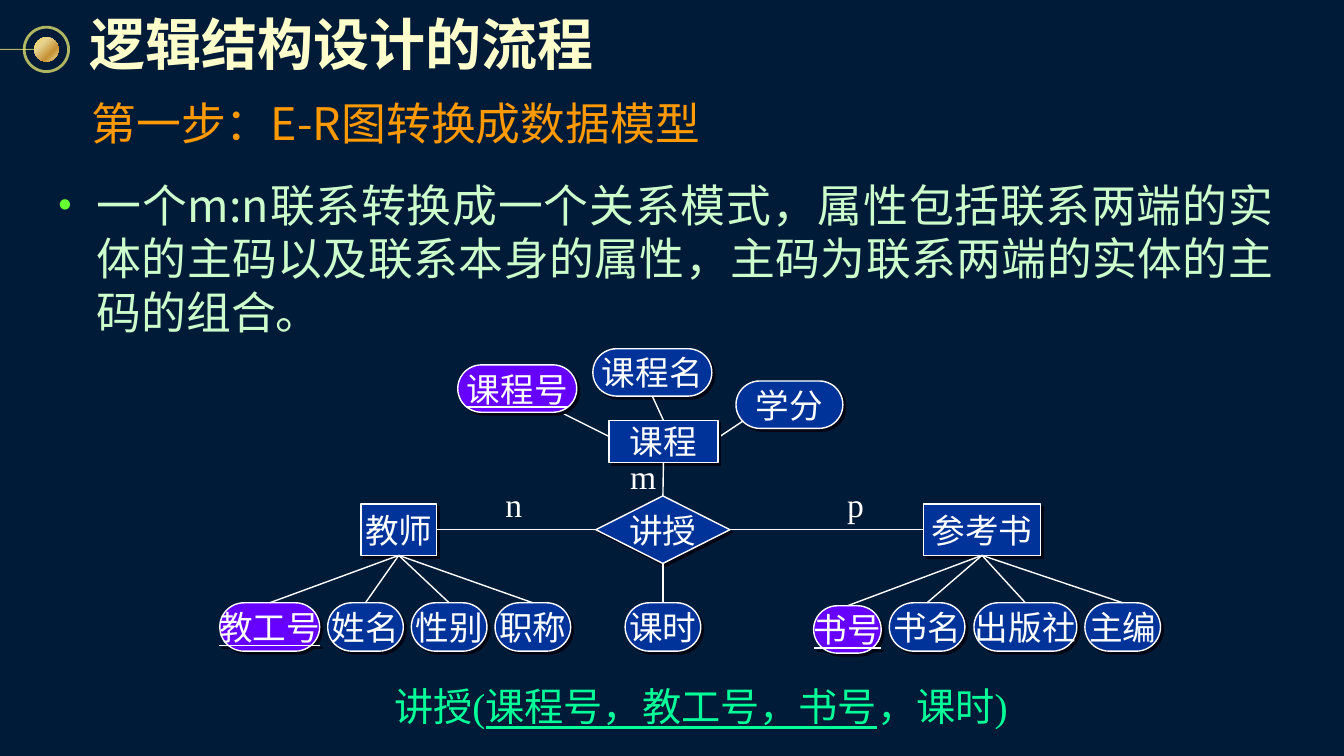
from dataclasses import dataclass

import pptx
import pptx.dml.color
import pptx.enum.dml
import pptx.enum.shapes
import pptx.enum.text
import pptx.oxml
import pptx.oxml.ns
import pptx.util
from pptx.util import Inches

SHAPE = pptx.enum.shapes.MSO_SHAPE
ALIGN = pptx.enum.text.PP_ALIGN
ANCHOR = pptx.enum.text.MSO_ANCHOR
STRAIGHT = pptx.enum.shapes.MSO_CONNECTOR.STRAIGHT
TOP, LEFT, BOTTOM, RIGHT = range(4)
NS = pptx.oxml.ns.nsdecls("a")
SERIF, SANS = "Times New Roman", "Noto Sans CJK SC"
WHITE, BLUE, VIOLET, GOLD = "FFFFFF", "003399", "6600FF", "FCF873"
SHADOW = (f'<a:effectLst {NS}><a:outerShdw dist="35560" dir="2700000" algn="ctr" '
          'rotWithShape="0"><a:srgbClr val="000514"/></a:outerShdw></a:effectLst>')


@dataclass
class Node:
    label: str
    left: float
    top: float
    width: float
    height: float = 0.48
    kind: int = SHAPE.ROUNDED_RECTANGLE
    key: bool = False


@dataclass
class Caption:
    left: float
    top: float
    width: float
    height: float
    texts: tuple
    size: int
    font: str
    color: str
    inset: tuple = (0.0, 0.0)
    wrap: bool = True


def rgb(code: str):
    return pptx.dml.color.RGBColor.from_string(code)


def append_xml(parent, xml: str) -> None:
    parent.append(pptx.oxml.parse_xml(xml))


def style_run(run, size: int, font: str, color: str) -> None:
    run.font.size = pptx.util.Pt(size)
    run.font.name = font
    run.font.color.rgb = rgb(color)
    append_xml(run.font._element, f'<a:ea {NS} typeface="{SANS}"/>')


def set_insets(frame, across: float, down: float) -> None:
    frame.margin_left = frame.margin_right = Inches(across)
    frame.margin_top = frame.margin_bottom = Inches(down)


def set_line(line, color: str, width: float, alpha: int = 100) -> None:
    line.color.rgb = rgb(color)
    line.width = pptx.util.Pt(width)
    if alpha < 100:
        tint = line._ln.find(".//" + pptx.oxml.ns.qn("a:srgbClr"))
        append_xml(tint, f'<a:alpha {NS} val="{alpha * 1000}"/>')


def add_caption(slide, spec_: Caption):
    box = slide.shapes.add_textbox(*map(Inches, (spec_.left, spec_.top, spec_.width, spec_.height)))
    frame = box.text_frame
    frame.word_wrap = spec_.wrap
    set_insets(frame, *spec_.inset)
    for text in spec_.texts:
        run = frame.paragraphs[0].add_run()
        run.text = text
        style_run(run, spec_.size, spec_.font, spec_.color)
    return frame


def add_node(slide, node: Node):
    shape = slide.shapes.add_shape(
        node.kind, *map(Inches, (node.left, node.top, node.width, node.height)))
    if node.kind == SHAPE.ROUNDED_RECTANGLE:
        shape.adjustments[0] = 0.5
    shape.fill.solid()
    shape.fill.fore_color.rgb = rgb(VIOLET if node.key else BLUE)
    set_line(shape.line, WHITE, 1)
    append_xml(shape._element.spPr, SHADOW)
    frame = shape.text_frame
    frame.text = node.label
    frame.word_wrap = False
    frame.vertical_anchor = ANCHOR.MIDDLE
    set_insets(frame, 0, 0)
    frame.paragraphs[0].alignment = ALIGN.CENTER
    run = frame.paragraphs[0].runs[0]
    style_run(run, 24, SERIF, WHITE)
    if node.key:
        run.font.underline = True
    return shape


def add_line(slide, x1=0.0, y1=0.0, x2=0.0, y2=0.0, color=WHITE, width=1.0, alpha=100):
    line = slide.shapes.add_connector(STRAIGHT, *map(Inches, (x1, y1, x2, y2)))
    set_line(line.line, color, width, alpha)
    append_xml(line._element.spPr, f"<a:effectLst {NS}/>")
    return line


def join(slide, start, start_side: int, end, end_side: int) -> None:
    line = add_line(slide)
    line.begin_connect(start, start_side)
    line.end_connect(end, end_side)


def add_emblem(slide) -> None:
    ring = slide.shapes.add_shape(SHAPE.OVAL, *map(Inches, (0.24, 0.27, 0.44, 0.44)))
    ring.shadow.inherit = False
    ring.fill.background()
    set_line(ring.line, GOLD, 2, 70)
    add_line(slide, 0, 0.49, 0.34, 0.49, GOLD, 0.75, 70)
    bead = slide.shapes.add_shape(SHAPE.OVAL, *map(Inches, (0.34, 0.37, 0.24, 0.24)))
    bead.shadow.inherit = False
    bead.line.fill.background()
    stops = ((0, "FCD860"), (31, "E6D38F"), (68, "C69135"), (100, "F1DF97"))
    gradient = "".join(f'<a:gs pos="{at * 1000}"><a:srgbClr val="{color}"/></a:gs>'
                       for at, color in stops)
    geometry = bead._element.spPr.find(pptx.oxml.ns.qn("a:prstGeom"))
    geometry.addnext(pptx.oxml.parse_xml(
        f'<a:gradFill {NS} rotWithShape="1"><a:gsLst>{gradient}</a:gsLst>'
        '<a:lin ang="2700000" scaled="0"/></a:gradFill>'))


def add_headings(slide) -> None:
    title = add_caption(slide, Caption(0.81, 0.01, 5.21, 0.83, ("逻辑结构设计的流程",), 40,
                                       "Arial", "FFFFCC", (0.08, 0.08), False))
    title.vertical_anchor = ANCHOR.MIDDLE
    heading = title.paragraphs[0].runs[0].font
    heading.bold = True
    heading._element.find(pptx.oxml.ns.qn("a:solidFill")).addnext(pptx.oxml.parse_xml(SHADOW))

    add_caption(slide, Caption(0.81, 0.9, 9.8, 0.64, ("第一步：E-R图转换成数据模型",), 32,
                               SANS, "FF9900", (0.1, 0.05)))

    rule = add_caption(slide, Caption(
        0.48, 1.71, 12.25, 1.26,
        ("一个m:n联系转换成一个关系模式，属性包括联系两端的实体的主码以及联系本身的属性，"
         "主码为联系两端的实体的主码的组合。",), 32, SANS, "CCFFCC", (0.1, 0.05))).paragraphs[0]
    rule.alignment = ALIGN.JUSTIFY
    props = rule._p.get_or_add_pPr()
    props.set("marL", str(Inches(0.38)))
    props.set("indent", str(Inches(-0.38)))
    for bullet in ('<a:buClr {}><a:srgbClr val="66FF33"/></a:buClr>', '<a:buSzPct {} val="85000"/>',
                   '<a:buFont {} typeface="Arial"/>', '<a:buChar {} char="•"/>'):
        append_xml(props, bullet.format(NS))


def add_diagram(slide) -> None:
    # Lines that meet the course entity away from its side middles
    add_line(slide, 5.56, 4.09, 6.04, 4.33)
    add_line(slide, 7.14, 4.33, 7.38, 4.17)

    # Entities and relationship
    course = add_node(slide, Node("课程", 6.04, 4.17, 1.08, 0.42, SHAPE.RECTANGLE))
    teacher = add_node(slide, Node("教师", 3.58, 5, 0.75, 0.51, SHAPE.RECTANGLE))
    book = add_node(slide, Node("参考书", 9.16, 5, 1.16, 0.51, SHAPE.RECTANGLE))
    teaching = add_node(slide, Node("讲授", 5.91, 4.92, 1.33, 0.67, SHAPE.DIAMOND))
    join(slide, course, BOTTOM, teaching, TOP)
    join(slide, teaching, LEFT, teacher, RIGHT)
    join(slide, teaching, RIGHT, book, LEFT)

    # Course attributes
    add_node(slide, Node("课程号", 4.54, 3.62, 1.18, 0.47, key=True))
    course_name = add_node(slide, Node("课程名", 5.88, 3.46, 1.18, 0.47))
    add_node(slide, Node("学分", 7.3, 3.78, 1.06, 0.47))
    join(slide, course_name, BOTTOM, course, TOP)

    # Attributes below their owners
    attributes = (
        (teacher, (Node("教工号", 2.18, 5.98, 0.99, key=True), Node("姓名", 3.25, 5.98, 0.75),
                   Node("性别", 4.08, 5.98, 0.75), Node("职称", 4.91, 5.98, 0.75))),
        (teaching, (Node("课时", 6.2, 5.98, 0.75),)),
        (book, (Node("书号", 8.07, 6.01, 0.67, 0.47, key=True), Node("书名", 8.82, 5.98, 0.75),
                Node("出版社", 9.66, 5.98, 1.02), Node("主编", 10.76, 5.98, 0.75))),
    )
    for owner, nodes in attributes:
        for node in nodes:
            join(slide, owner, BOTTOM, add_node(slide, node), TOP)

    # Cardinalities
    for letter, left, top, width in (("m", 6.25, 4.52, 0.26), ("n", 5.01, 4.8, 0.17),
                                     ("p", 8.4, 4.8, 0.17)):
        mark = add_caption(slide, Caption(left, top, width, 0.4, (letter,), 24, SERIF, WHITE,
                                          wrap=False))
        mark.paragraphs[0].alignment = ALIGN.CENTER

    # Resulting relation with its key underlined
    relation = add_caption(slide, Caption(3.91, 6.77, 6.67, 0.47, (
        "讲授(", "课程号，教工号，书号", "，课时)"), 28, SERIF, "00FF99"))
    relation.paragraphs[0].runs[1].font.underline = True


def main() -> None:
    deck = pptx.Presentation()
    deck.slide_width, deck.slide_height = Inches(13.33), Inches(7.5)
    slide = deck.slides.add_slide(deck.slide_layouts[6])
    slide.background.fill.solid()
    slide.background.fill.fore_color.rgb = rgb("001B37")
    add_emblem(slide)
    add_headings(slide)
    add_diagram(slide)
    deck.save("out.pptx")


if __name__ == "__main__":
    main()
